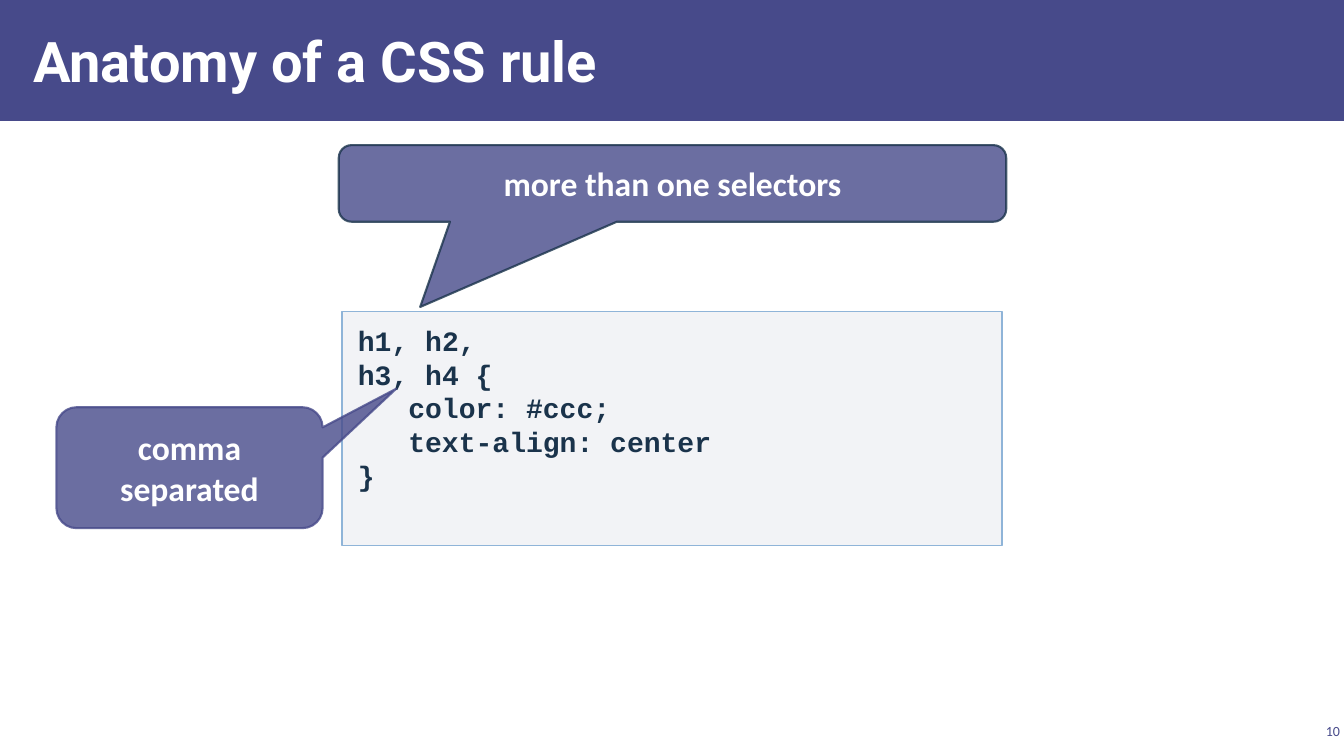
"""Build the slide on the anatomy of a CSS rule."""
from lxml import etree
from pptx import Presentation
from pptx import util as u
from pptx.dml.color import RGBColor
from pptx.enum import shapes, text
from pptx.oxml.ns import qn

PX = 9144
COLORS = {"indigo": "474A8A", "navy": "1A334B", "white": "FFFFFF",
          "grey": "ACB4C3", "sky": "8FB4D8"}


def paint(target, color, alpha=100):
    target.solid()
    target.fore_color.rgb = RGBColor.from_string(COLORS[color])
    if alpha < 100:
        tint = target._xPr.find(qn("a:solidFill"))[0]
        etree.SubElement(tint, qn("a:alpha"), val=str(alpha * 1000))


def write(box, words, size, font, color, bold, align, anchor, margins):
    frame = box.text_frame
    frame.text = words
    frame.word_wrap = True
    frame.auto_size = text.MSO_AUTO_SIZE.NONE
    frame.vertical_anchor = anchor
    side, edge = margins
    frame.margin_left = frame.margin_right = side * PX
    frame.margin_top = frame.margin_bottom = edge * PX
    for para in frame.paragraphs:
        para.alignment = align
        for span in para.runs:
            span.font.name = font
            span.font.size = u.Pt(size)
            span.font.bold = bold
            span.font.color.rgb = RGBColor.from_string(COLORS[color])


LEFT, CENTER, RIGHT = text.PP_ALIGN.LEFT, text.PP_ALIGN.CENTER, text.PP_ALIGN.RIGHT
TOP, MIDDLE = text.MSO_ANCHOR.TOP, text.MSO_ANCHOR.MIDDLE
RECTANGLE = shapes.MSO_SHAPE.RECTANGLE
CALLOUT = shapes.MSO_SHAPE.ROUNDED_RECTANGULAR_CALLOUT

deck = Presentation()
deck.slide_width, deck.slide_height = 1333 * PX, 750 * PX
page = deck.slides.add_slide(deck.slide_layouts[5])

band = page.shapes.add_shape(RECTANGLE, 0, 0, deck.slide_width, 120 * PX)
band.shadow.inherit = False
paint(band.fill, "indigo")
band.line.fill.background()
page.shapes._spTree.insert(2, band._element)

title = page.shapes.title
title.left, title.top, title.width, title.height = [n * PX for n in (21, 11, 1040, 97)]
write(title, "Anatomy of a CSS rule", 40, "Roboto", "white", True, LEFT, MIDDLE, (12, 4))

number = page.shapes.add_textbox(*[n * PX for n in (1286, 714, 47, 22)])
write(number, "10", 10, "Calibri", "indigo", False, RIGHT, MIDDLE, (4, 4))

code = page.shapes.add_shape(RECTANGLE, *[n * PX for n in (339, 309, 655, 232)])
code.shadow.inherit = False
paint(code.fill, "grey", 15)
paint(code.line.fill, "sky")
code.line.width = u.Pt(1)
rule = "h1, h2,\nh3, h4 {\n\tcolor: #ccc;\n\ttext-align: center\n}"
write(code, rule, 20, "Courier New", "navy", True, LEFT, TOP, (16, 12))

callouts = [
    ("more than one selectors", (336, 144, 662, 76), (-0.378, 1.613), "navy"),
    ("comma separated", (56, 404, 264, 120), (0.776, -0.652), "indigo"),
]
for words, place, tip, outline in callouts:
    callout = page.shapes.add_shape(CALLOUT, *[n * PX for n in place])
    callout.shadow.inherit = False
    callout.adjustments[0], callout.adjustments[1] = tip
    paint(callout.fill, "indigo", 80)
    paint(callout.line.fill, outline, 80)
    callout.line.width = u.Pt(1.5)
    write(callout, words, 24, "Calibri", "white", True, CENTER, MIDDLE, (10, 5))

deck.save("out.pptx")
